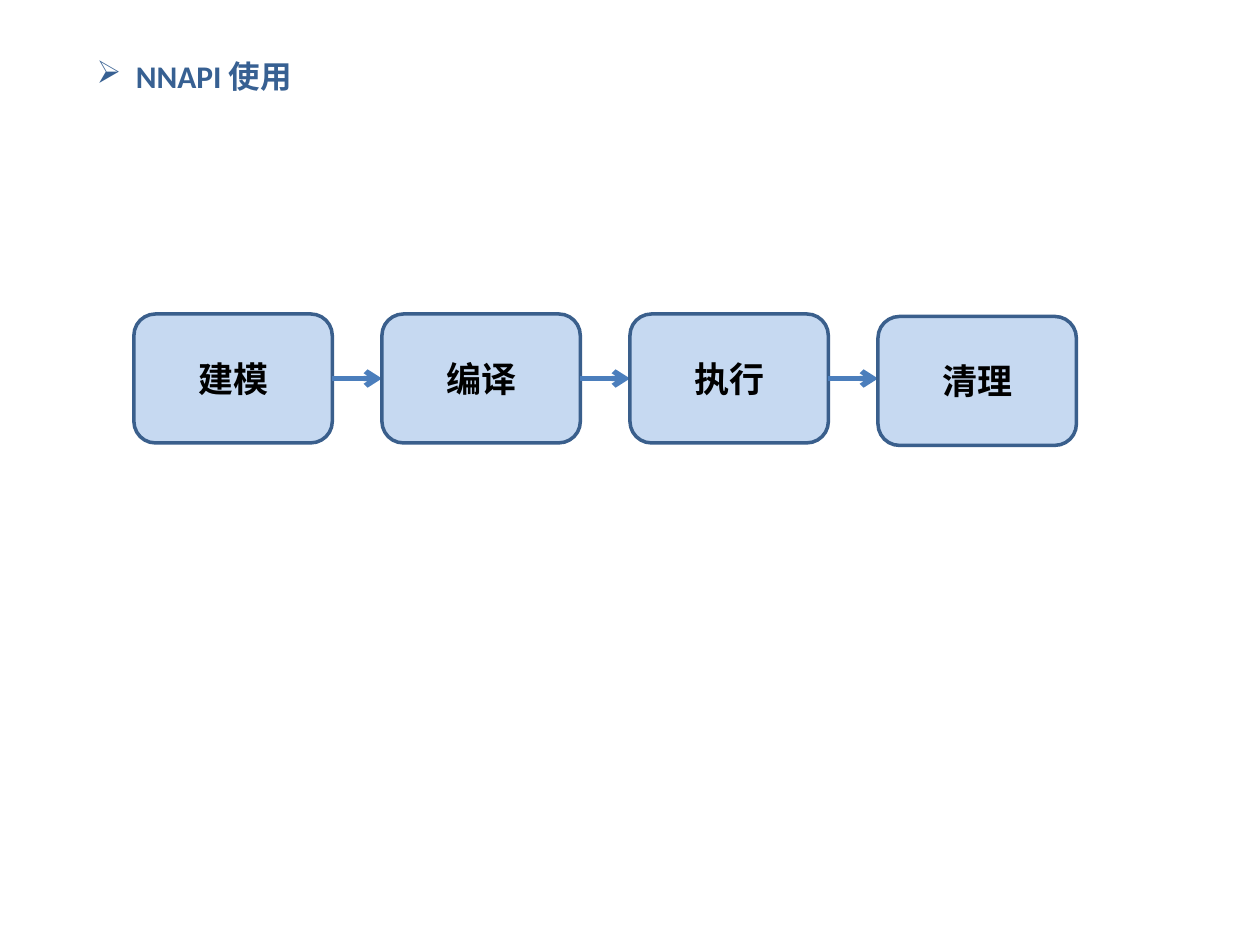
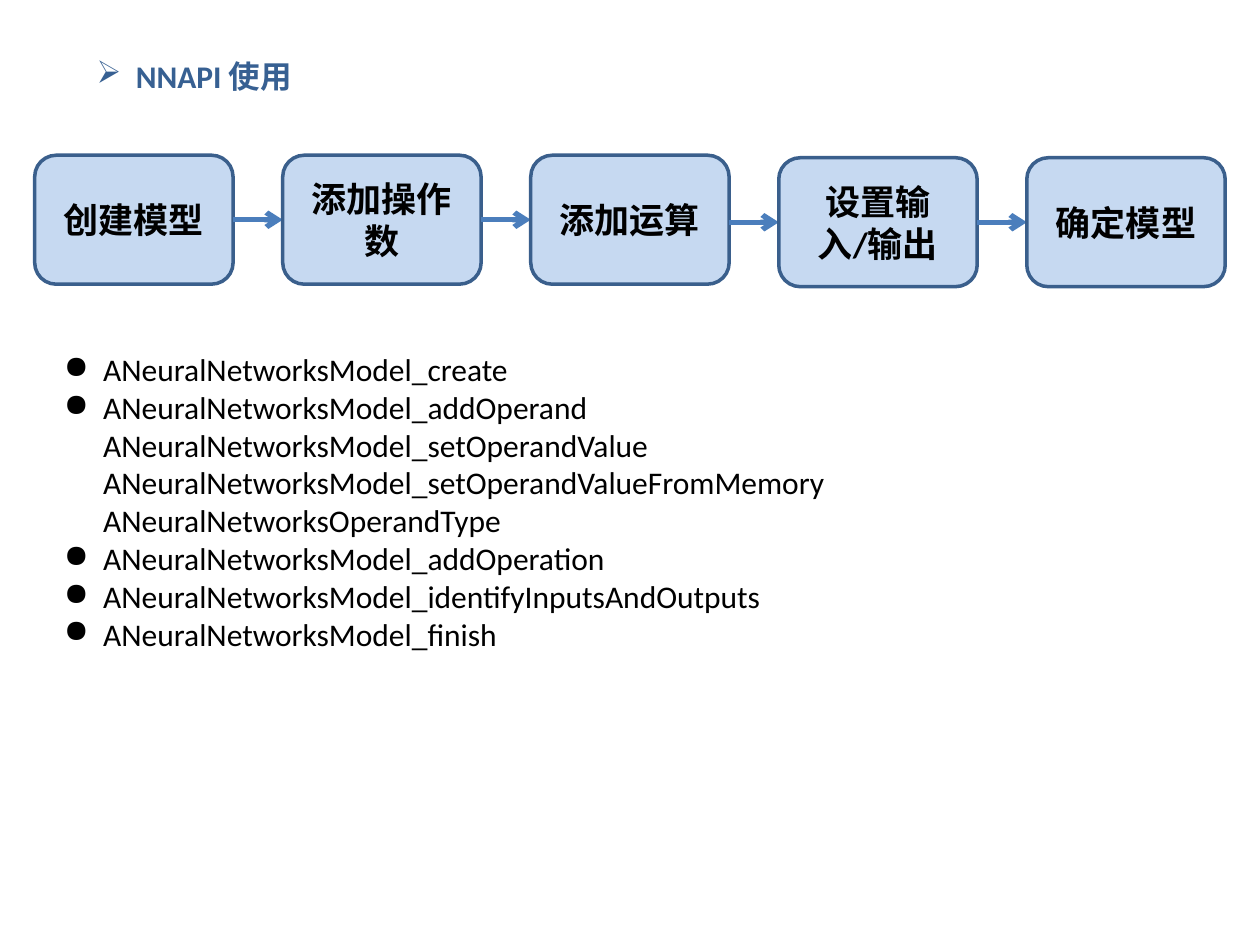
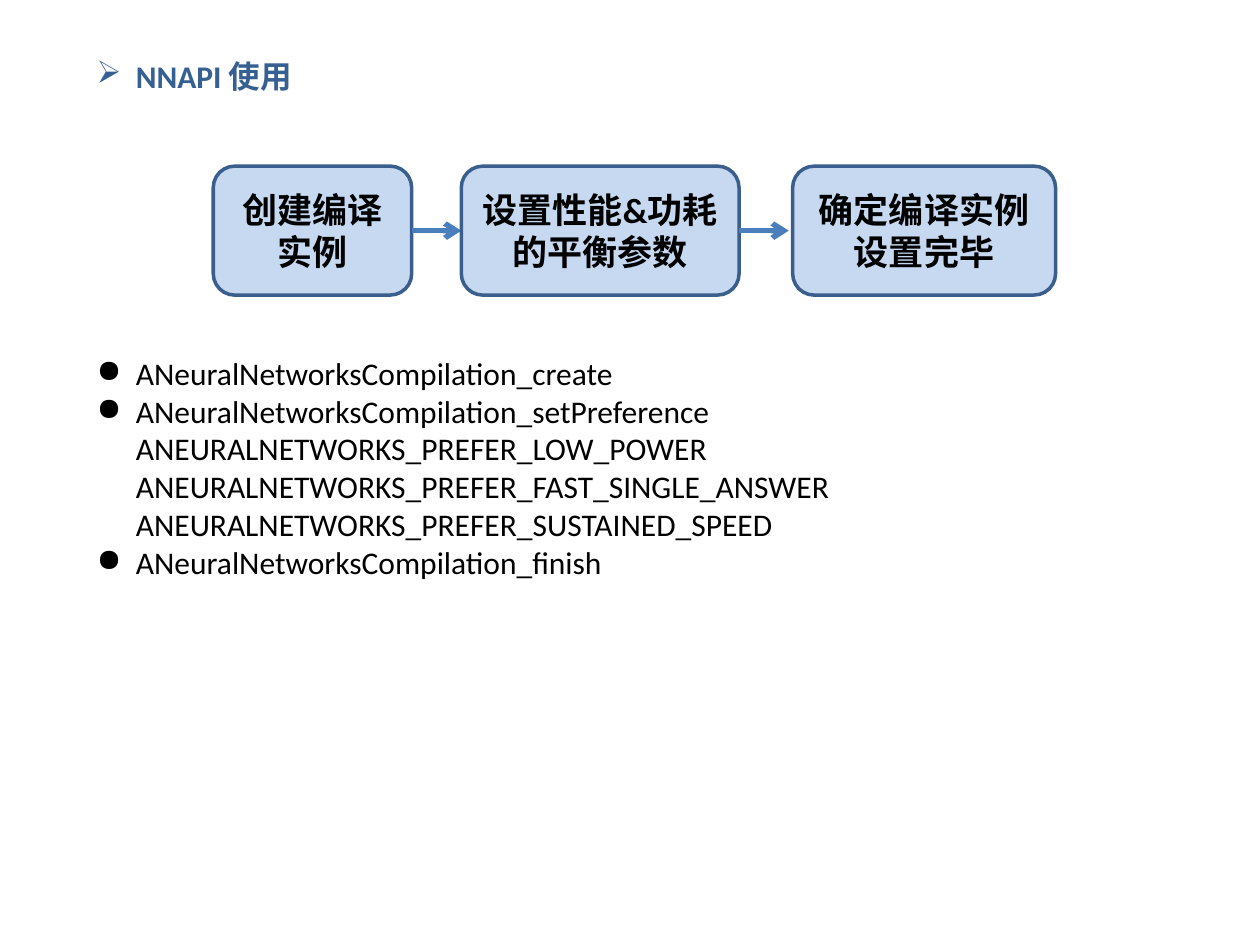
from lxml import etree
from pptx import Presentation
from pptx.dml.color import RGBColor
from pptx.enum import shapes, text
from pptx.oxml.ns import qn
from pptx.util import Cm, Pt

# Shared style
FONT = "Calibri"
TITLE_COLOR, TEXT_COLOR = "376092", "000000"
BOX_FILL, BOX_LINE, ARROW_COLOR = "C6D9F1", "3A5F8C", "4B7EBC"
BOX_WIDTH, BOX_HEIGHT, GAP, INDENT = 4, 2.6, 1, 0.79
TITLE, TITLE_PLACE = "NNAPI 使用", (1.7, 1.02, 4.5, 1.02)

# Content, lengths in cm; "boxes" and "arrows" override the regular row by index
SLIDES = [
    {
        "left": 2.7, "top": 6.33,
        "steps": ["建模", "编译", "执行", "清理"],
        "box_tops": {3: 6.38},
    },
    {
        "left": 0.7, "top": 3.13,
        "steps": ["创建模型", "添加操作数", "添加运算", "设置输入/输出", "确定模型"],
        "box_tops": {3: 3.18, 4: 3.18},
        "arrow_tops": {2: 3.18, 3: 3.18},
        "calls_place": (1.04, 6.93, 23.0, 6.4),
        "calls": [
            "ANeuralNetworksModel_create",
            "ANeuralNetworksModel_addOperand\n"
            "ANeuralNetworksModel_setOperandValue\n"
            "ANeuralNetworksModel_setOperandValueFromMemory\n"
            "ANeuralNetworksOperandType",
            "ANeuralNetworksModel_addOperation",
            "ANeuralNetworksModel_identifyInputsAndOutputs",
            "ANeuralNetworksModel_finish",
        ],
    },
    {
        "left": 4.3, "top": 3.35,
        "steps": ["创建编译实例", "设置性能&功耗的平衡参数", "确定编译实例设置完毕"],
        "widths": {1: 5.6, 2: 5.3},
        "gaps": {1: 1.08},
        "calls_place": (1.7, 7.01, 21.0, 4.88),
        "calls": [
            "ANeuralNetworksCompilation_create",
            "ANeuralNetworksCompilation_setPreference\n"
            "ANEURALNETWORKS_PREFER_LOW_POWER\n"
            "ANEURALNETWORKS_PREFER_FAST_SINGLE_ANSWER\n"
            "ANEURALNETWORKS_PREFER_SUSTAINED_SPEED",
            "ANeuralNetworksCompilation_finish",
        ],
    },
]


def color(value):
    return RGBColor.from_string(value)


def write(shape, paragraphs, size=18, ink=TEXT_COLOR, bold=False, align=None, bullet=None):
    frame = shape.text_frame
    for index, content in enumerate(paragraphs):
        paragraph = frame.add_paragraph() if index else frame.paragraphs[0]
        paragraph.text = content
        paragraph.alignment = align
        for run in paragraph.runs:
            run.font.name, run.font.size, run.font.bold = FONT, Pt(size), bold
            run.font.color.rgb = color(ink)
        if bullet:
            properties = paragraph._p.get_or_add_pPr()
            properties.set("marL", str(Cm(INDENT)))
            properties.set("indent", str(-Cm(INDENT)))
            etree.SubElement(properties, qn("a:buChar"), char=bullet)


def add_text(slide, place, paragraphs, wrap=True, **style):
    shape = slide.shapes.add_textbox(*map(Cm, place))
    shape.text_frame.word_wrap = wrap
    shape.text_frame.auto_size = text.MSO_AUTO_SIZE.SHAPE_TO_FIT_TEXT
    write(shape, paragraphs, **style)


def add_box(slide, label, left, top, width):
    shape = slide.shapes.add_shape(
        shapes.MSO_SHAPE.ROUNDED_RECTANGLE, Cm(left), Cm(top), Cm(width), Cm(BOX_HEIGHT))
    shape.shadow.inherit = False
    shape.fill.solid()
    shape.fill.fore_color.rgb = color(BOX_FILL)
    shape.line.color.rgb = color(BOX_LINE)
    shape.line.width = Pt(2)
    shape.text_frame.vertical_anchor = text.MSO_ANCHOR.MIDDLE
    write(shape, [label], size=20, bold=True, align=text.PP_ALIGN.CENTER)


def add_arrow(slide, left, middle):
    arrow = slide.shapes.add_connector(
        shapes.MSO_CONNECTOR.STRAIGHT, Cm(left), Cm(middle), Cm(left + GAP), Cm(middle))
    arrow.line.color.rgb = color(ARROW_COLOR)
    arrow.line.width = Pt(3)
    etree.SubElement(arrow.line._get_or_add_ln(), qn("a:tailEnd"), type="arrow")
    etree.SubElement(arrow._element.spPr, qn("a:effectLst"))


def add_flow(slide, content):
    left, top = content["left"], content["top"]
    last = len(content["steps"]) - 1
    for index, label in enumerate(content["steps"]):
        width = content.get("widths", {}).get(index, BOX_WIDTH)
        add_box(slide, label, left, content.get("box_tops", {}).get(index, top), width)
        left += width
        if index < last:
            arrow_top = content.get("arrow_tops", {}).get(index, top)
            add_arrow(slide, left, arrow_top + BOX_HEIGHT / 2)
            left += content.get("gaps", {}).get(index, GAP)


def main():
    presentation = Presentation()
    presentation.slide_width, presentation.slide_height = Cm(25.4), Cm(19.05)
    for content in SLIDES:
        slide = presentation.slides.add_slide(presentation.slide_layouts[6])
        add_text(slide, TITLE_PLACE, [TITLE], wrap=False,
                 ink=TITLE_COLOR, bold=True, bullet="➢")
        add_flow(slide, content)
        if "calls" in content:
            add_text(slide, content["calls_place"], content["calls"], bullet="●")
    presentation.save("out.pptx")


if __name__ == "__main__":
    main()
